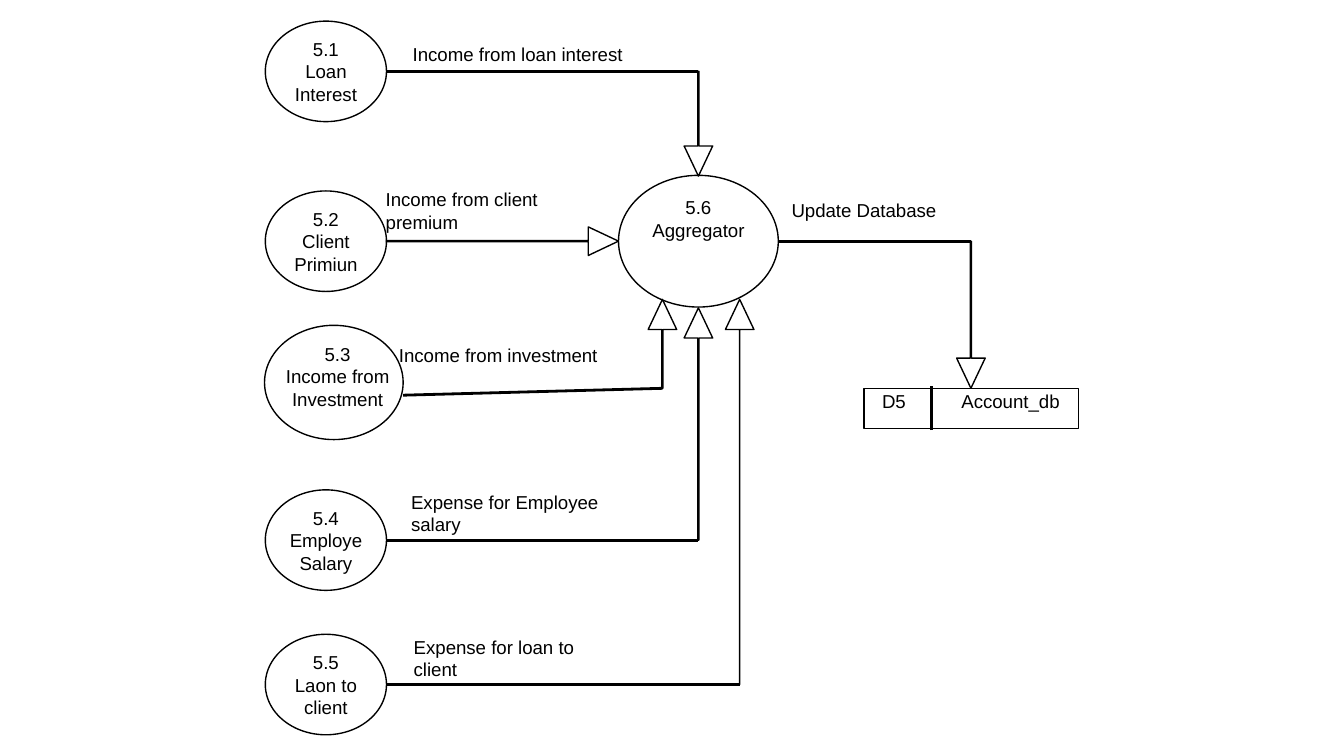
from math import hypot

from lxml.etree import SubElement
from pptx import Presentation
from pptx.dml.color import RGBColor
from pptx.enum.shapes import MSO_CONNECTOR as Connector, MSO_SHAPE as Shape
from pptx.enum.text import MSO_ANCHOR as Anchor, PP_ALIGN as Align
from pptx.oxml.ns import qn
from pptx.util import Cm, Pt

INK, PAPER = "000000", "FFFFFF"
HEAD_LENGTH, HEAD_HALF, SHAFT_HALF = 0.57, 0.27, 0.01

PROCESS_X, SOURCE_EDGE = 6.16, 7.3
LOAN_Y, CLIENT_Y, SALARY_Y, PAYOUT_Y = 1.35, 4.56, 10.21, 12.94
HUB_X, INVEST_X, PAYOUT_X, STORE_X = 13.2, 12.52, 13.98, 18.35
HUB_LEFT, HUB_RIGHT, STORE_TOP = 11.69, 14.71, 7.34


def color(hex_text):
    """Turn a hex string into a colour."""
    return RGBColor.from_string(hex_text)


def outline(shape):
    """Give a shape a paper fill, a thin ink line and no shadow."""
    shape.shadow.inherit = False
    shape.fill.solid()
    shape.fill.fore_color.rgb = color(PAPER)
    shape.line.color.rgb = color(INK)
    shape.line.width = Pt(0.75)


def add_text(slide, text, left, top, width, height, align=Align.LEFT, anchor=Anchor.TOP):
    """Add a wrapping text box without insets and return its frame."""
    frame = slide.shapes.add_textbox(Cm(left), Cm(top), Cm(width), Cm(height)).text_frame
    frame.word_wrap = True
    frame.vertical_anchor = anchor
    frame.margin_left = frame.margin_right = frame.margin_top = frame.margin_bottom = 0
    frame.text = text
    for paragraph in frame.paragraphs:
        paragraph.alignment = align
        for run in paragraph.runs:
            run.font.name = "Arial"
            run.font.size = Pt(10)
            run.font.color.rgb = color(INK)
    return frame


def add_process(slide, title, x, y, width=2.29, height=1.9,
                text_width=1.65, text_height=1.27, shift_x=0, shift_y=0):
    """Add a process bubble centred on a point, with its number and name."""
    outline(slide.shapes.add_shape(Shape.OVAL, Cm(x - width / 2), Cm(y - height / 2),
                                   Cm(width), Cm(height)))
    add_text(slide, title, x + shift_x - text_width / 2, y + shift_y - text_height / 2,
             text_width, text_height, Align.CENTER, Anchor.MIDDLE)


def add_flow_arrow(slide, tail, tip, shaft=SHAFT_HALF):
    """Add an outlined arrow with an open triangular head."""
    length = hypot(tip[0] - tail[0], tip[1] - tail[1])
    ux, uy = (tip[0] - tail[0]) / length, (tip[1] - tail[1]) / length

    def point(back, side):
        """Place a point by its distance behind the tip and beside the axis."""
        return Cm(tip[0] - back * ux - side * uy), Cm(tip[1] - back * uy + side * ux)

    builder = slide.shapes.build_freeform(*point(0, 0))
    builder.add_line_segments([
        point(HEAD_LENGTH, HEAD_HALF), point(HEAD_LENGTH, shaft), point(length, shaft),
        point(length, -shaft), point(HEAD_LENGTH, -shaft), point(HEAD_LENGTH, -HEAD_HALF),
    ], close=True)
    outline(builder.convert_to_shape())


def add_flow_line(slide, start, end):
    """Add a plain thick line between two points."""
    line = slide.shapes.add_connector(Connector.STRAIGHT, *map(Cm, start + end))
    line.line.color.rgb = color(INK)
    line.line.width = Pt(1.5)
    SubElement(line._element.spPr, qn("a:effectLst"))


def add_data_store(slide):
    """Add the data store with its identifier, divider and name."""
    outline(slide.shapes.add_shape(Shape.RECTANGLE, Cm(16.33), Cm(STORE_TOP), Cm(4.06), Cm(0.76)))
    frame = add_text(slide, "D5\tAccount_db", 16.36, 7.37, 4.01, 0.43, anchor=Anchor.MIDDLE)
    frame.margin_left = Cm(0.31)
    tabs = SubElement(frame.paragraphs[0]._p.get_or_add_pPr(), qn("a:tabLst"))
    SubElement(tabs, qn("a:tab"), pos=str(Cm(1.5)), algn="l")
    add_flow_line(slide, (17.6, 8.13), (17.6, 7.29))


def main():
    """Build the data flow diagram."""
    deck = Presentation()
    deck.slide_width, deck.slide_height = Cm(25.4), Cm(14.29)
    slide = deck.slides.add_slide(deck.slide_layouts[6])

    add_data_store(slide)
    for title, y in (("5.1\nLoan Interest", LOAN_Y), ("5.2\nClient Primiun", CLIENT_Y),
                     ("5.4\nEmploye Salary", SALARY_Y), ("5.5\nLaon to client", PAYOUT_Y)):
        add_process(slide, title, PROCESS_X, y)
    add_process(slide, "5.3\nIncome from Investment", 6.31, 7.23, 2.62, 2.16,
                2.08, 1.27, 0.07, -0.12)
    add_process(slide, "5.6\nAggregator", HUB_X, CLIENT_Y, 3.02, 2.49,
                2.18, 0.84, 0, -0.43)

    for start, end in (
        ((SOURCE_EDGE, LOAN_Y), (HUB_X, LOAN_Y)),
        ((7.62, 7.47), (INVEST_X, 7.34)),
        ((SOURCE_EDGE, SALARY_Y), (HUB_X, SALARY_Y)),
        ((SOURCE_EDGE, PAYOUT_Y), (PAYOUT_X, PAYOUT_Y)),
        ((HUB_RIGHT, CLIENT_Y), (STORE_X, CLIENT_Y)),
    ):
        add_flow_line(slide, start, end)

    for tail, tip in (
        ((HUB_X, LOAN_Y), (HUB_X, 3.33)),
        ((SOURCE_EDGE, CLIENT_Y), (HUB_LEFT, CLIENT_Y)),
        ((INVEST_X, 7.34), (INVEST_X, 5.66)),
        ((HUB_X, SALARY_Y), (HUB_X, 5.82)),
        ((STORE_X, CLIENT_Y), (STORE_X, STORE_TOP)),
    ):
        add_flow_arrow(slide, tail, tip)
    add_flow_arrow(slide, (PAYOUT_X, PAYOUT_Y), (PAYOUT_X, 5.66), shaft=0)

    for label, left, top, width, height in (
        ("Income from loan interest", 7.8, 0.81, 5.77, 0.43),
        ("Income from client premium", 7.29, 3.56, 3.91, 0.84),
        ("Income from investment", 7.54, 6.5, 3.91, 0.43),
        ("Expense for Employee salary", 7.77, 9.27, 3.91, 0.84),
        ("Expense for loan to client", 7.82, 12.01, 3.91, 0.84),
        ("Update Database", 14.96, 3.76, 3.91, 0.43),
    ):
        add_text(slide, label, left, top, width, height)

    deck.save("out.pptx")


if __name__ == "__main__":
    main()
